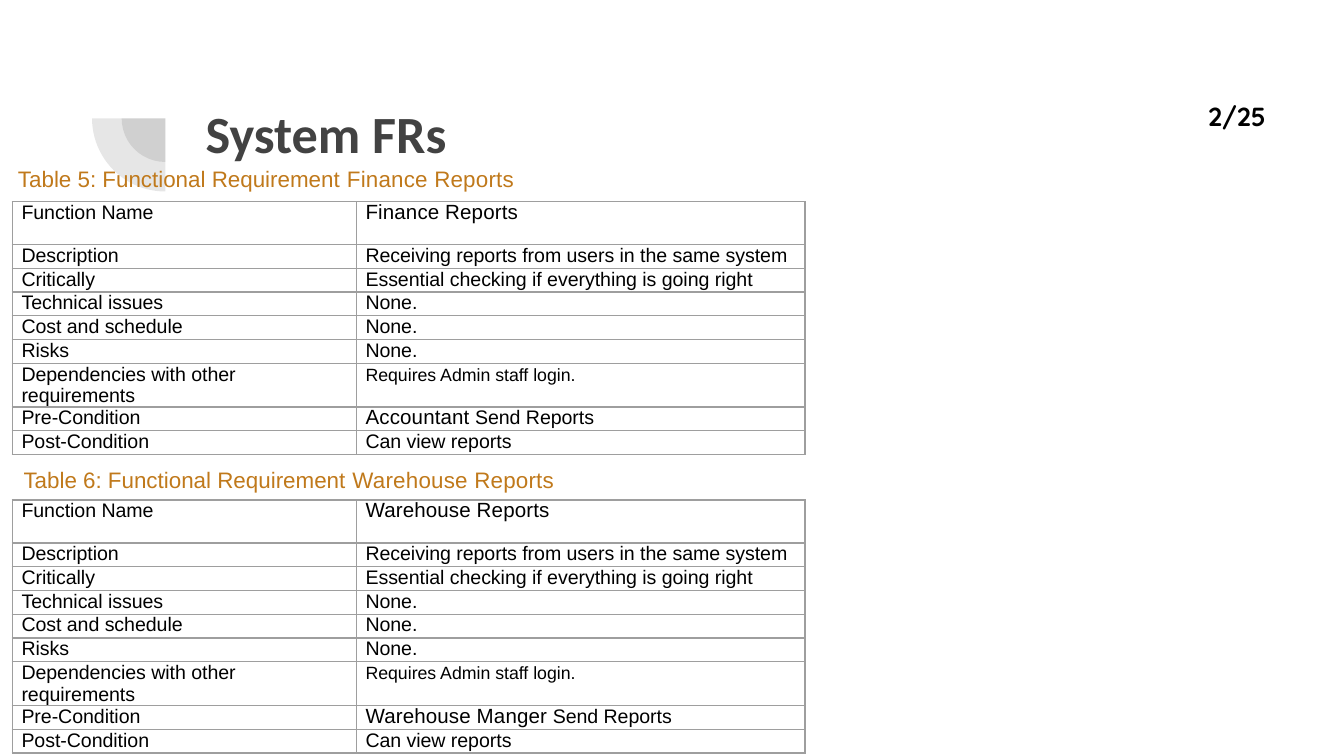
from lxml import etree
from pptx import Presentation
from pptx.dml.color import RGBColor
from pptx.enum.shapes import MSO_SHAPE
from pptx.enum.text import MSO_ANCHOR, PP_ALIGN
from pptx.oxml.ns import qn
from pptx.util import Inches, Pt

PIE = MSO_SHAPE.PIE
LEFT, CENTER = PP_ALIGN.LEFT, PP_ALIGN.CENTER
TOP, MIDDLE = MSO_ANCHOR.TOP, MSO_ANCHOR.MIDDLE
DARK, BLACK, ORANGE, GRAY = "424242", "000000", "C0791B", "9E9E9E"
COLUMNS = (2.56, 3.34)
TABLE_HEIGHT, TALL_ROW = 1.88, 0.32
TALL_LABELS = ("Function Name", "Dependencies with other requirements")


def color(value):
    return RGBColor.from_string(value)


class SlideBuilder:
    """Draws the elements of one slide in a shared style."""

    def __init__(self, prs):
        self.s = prs.slides.add_slide(prs.slide_layouts[5])

    def run(self, p, text, size, font="Arial", fill=BLACK, bold=False, spacing=0):
        r = p.add_run()
        r.text = text
        r.font.size, r.font.name, r.font.bold = Pt(size), font, bold
        r.font.color.rgb = color(fill)
        if spacing:
            r.font._element.set("spc", str(round(spacing * 100)))

    def frame(self, sp, inset, anchor, wrap=True):
        tf = sp.text_frame
        tf.word_wrap, tf.vertical_anchor = wrap, anchor
        tf.margin_left = tf.margin_right = Inches(0.1)
        tf.margin_top = tf.margin_bottom = Inches(inset)
        return tf.paragraphs[0]

    def title(self, text, x, y, w, h):
        sp = self.s.shapes.title
        sp.left, sp.top, sp.width, sp.height = map(Inches, (x, y, w, h))
        p = self.frame(sp, 0.1, TOP)
        p.alignment = LEFT
        self.run(p, text, 28, "Calibri", DARK, True)

    def page_number(self, text, x, y, w, h):
        sp = self.s.shapes.add_textbox(*map(Inches, (x, y, w, h)))
        self.run(self.frame(sp, 0.1, TOP), text, 14, "Quicksand", BLACK, True)

    def pie(self, center_x, center_y, size):
        box = (center_x - size / 2, center_y - size / 2, size, size)
        sp = self.s.shapes.add_shape(PIE, *map(Inches, box))
        sp.adjustments[0], sp.adjustments[1] = 108, 162
        sp.rotation = 270
        sp.shadow.inherit = False
        sp.fill.solid()
        sp.fill.fore_color.rgb = color(DARK)
        clr = sp._element.spPr.find(qn("a:solidFill"))[0]
        etree.SubElement(clr, qn("a:alpha"), val="13000")
        sp.line.fill.background()

    def caption(self, label, subject, x, y, w, indent=0):
        sp = self.s.shapes.add_textbox(*map(Inches, (x, y, w, 0.27)))
        p = self.frame(sp, 0.05, MIDDLE, False)
        p.alignment, p.line_spacing = CENTER, Pt(11.7)
        p._p.get_or_add_pPr().set("marL", str(Inches(indent)))
        self.run(p, label, 12, fill=ORANGE)
        self.run(p, subject, 12, fill=ORANGE, spacing=0.1)

    def cell(self, cell, runs):
        cell.fill.background()
        cell.margin_left = cell.margin_right = 0
        cell.margin_top = cell.margin_bottom = 0
        p = cell.text_frame.paragraphs[0]
        p.line_spacing = Pt(11.7)
        p._p.get_or_add_pPr().set("marL", str(Inches(0.07)))
        for text, size, spacing in runs:
            self.run(p, text, size, spacing=spacing)
        tcPr = cell._tc.get_or_add_tcPr()
        for i, side in enumerate(("lnL", "lnR", "lnT", "lnB")):
            ln = etree.Element(qn("a:" + side), w=str(Pt(0.75)))
            fill = etree.SubElement(ln, qn("a:solidFill"))
            etree.SubElement(fill, qn("a:srgbClr"), val=GRAY)
            tcPr.insert(i, ln)

    def table(self, rows, x, y):
        box = map(Inches, (x, y, sum(COLUMNS), TABLE_HEIGHT))
        table = self.s.shapes.add_table(len(rows), len(COLUMNS), *box).table
        table.first_row = table.horz_banding = False
        for column, width in zip(table.columns, COLUMNS):
            column.width = Inches(width)
        tall = len(TALL_LABELS)
        short_row = (TABLE_HEIGHT - tall * TALL_ROW) / (len(rows) - tall)
        for i, (label, runs) in enumerate(rows):
            table.rows[i].height = Inches(TALL_ROW if label in TALL_LABELS else short_row)
            self.cell(table.cell(i, 0), [(label, 10.5, 0)])
            self.cell(table.cell(i, 1), runs)
            if label == TALL_LABELS[1]:
                table.cell(i, 0).margin_right = Inches(0.75)


def requirement_rows(name, sender):
    none = [("None.", 10.5, 0)]
    return [
        ("Function Name", [(name, 11, 0.05)]),
        ("Description", [("Receiving reports from users in the same system", 10.5, 0)]),
        ("Critically", [("Essential checking if everything is going right", 10.5, 0)]),
        ("Technical issues", none),
        ("Cost and schedule", none),
        ("Risks", none),
        ("Dependencies with other requirements", [("Requires Admin staff login.", 9.5, 0)]),
        ("Pre-Condition", [(sender, 11, 0.05), (" Send Reports", 10.5, 0)]),
        ("Post-Condition", [("Can view reports", 10.5, 0)]),
    ]


def main():
    prs = Presentation()
    prs.slide_width = Inches(10)
    prs.slide_height = prs.slide_width * 9 // 16
    b = SlideBuilder(prs)
    for size in (0.65, 1.09):
        b.pie(1.23, 0.88, size)
    b.title("System FRs", 1.43, 0.65, 7.69, 1.09)
    b.page_number("2/25", 8.89, 0.65, 0.75, 0.44)
    b.caption("Table 5: Functional Requirement", " Finance Reports", -0.11, 1.21, 4.11, 0.07)
    b.caption("Table 6: Functional Requirement", " Warehouse Reports", 0, 3.45, 4.3)
    b.table(requirement_rows("Finance Reports", "Accountant"), 0.09, 1.5)
    b.table(requirement_rows("Warehouse Reports", "Warehouse Manger"), 0.09, 3.72)
    prs.save("out.pptx")


if __name__ == "__main__":
    main()
